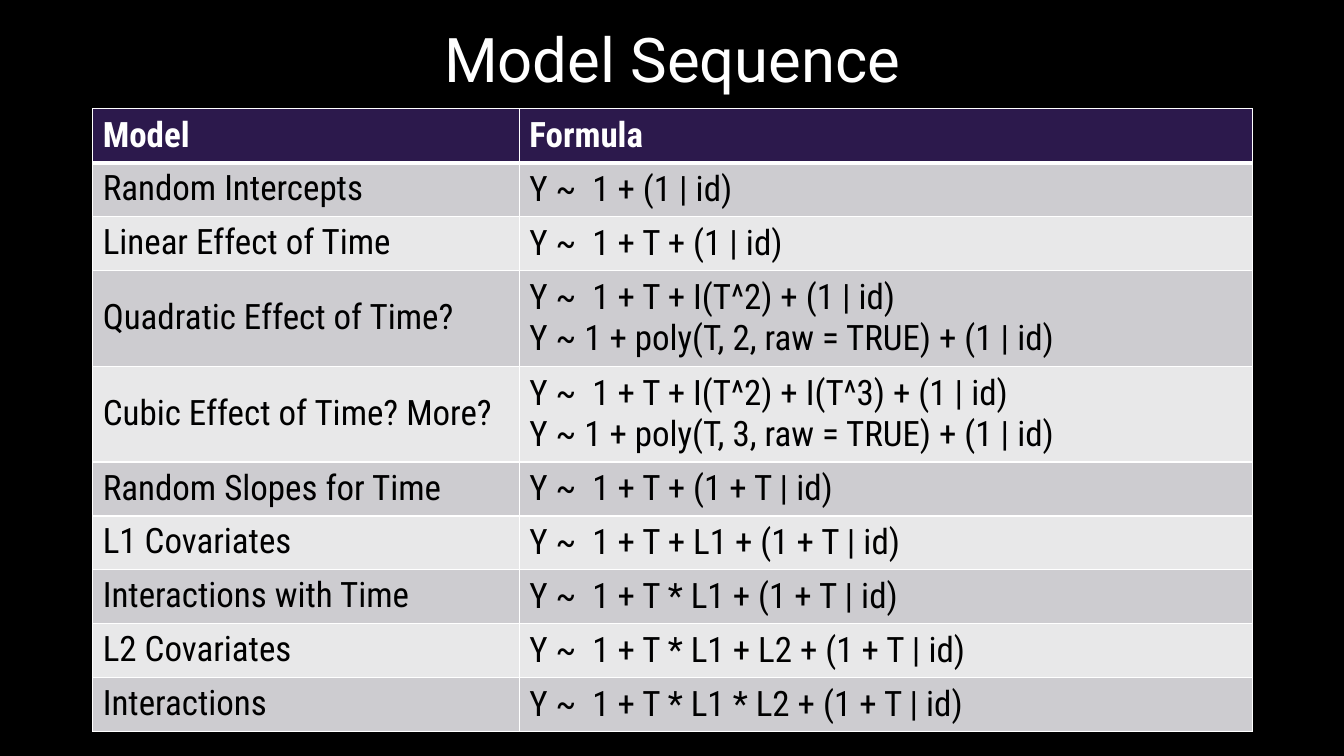
from lxml import etree
from pptx import Presentation
from pptx.dml.color import RGBColor
from pptx.enum.text import MSO_ANCHOR, PP_ALIGN
from pptx.oxml.ns import qn
from pptx.util import Inches, Pt

MIDDLE = MSO_ANCHOR.MIDDLE
CENTER = PP_ALIGN.CENTER
TITLE_ONLY = 5

COLORS = {
    "background": "000000",
    "title": "FFFFFF",
    "header": "2C194C",
    "header_text": "FFFFFF",
    "band_dark": "CDCCD0",
    "band_light": "E8E8E9",
    "body_text": "000000",
    "rule": "FFFFFF",
}
TITLE_FONT = {"name": "Roboto", "size": Pt(44), "bold": False}
HEADER_FONT = {"name": "Roboto Condensed", "size": Pt(25), "bold": True}
BODY_FONT = {**HEADER_FONT, "bold": False}

MODELS = [
    ("Model", "Formula"),
    ("Random Intercepts", "Y ~  1 + (1 | id)"),
    ("Linear Effect of Time", "Y ~  1 + T + (1 | id)"),
    ("Quadratic Effect of Time?",
     "Y ~  1 + T + I(T^2) + (1 | id)\nY ~ 1 + poly(T, 2, raw = TRUE) + (1 | id)"),
    ("Cubic Effect of Time? More?",
     "Y ~  1 + T + I(T^2) + I(T^3) + (1 | id)\nY ~ 1 + poly(T, 3, raw = TRUE) + (1 | id)"),
    ("Random Slopes for Time", "Y ~  1 + T + (1 + T | id)"),
    ("L1 Covariates", "Y ~  1 + T + L1 + (1 + T | id)"),
    ("Interactions with Time", "Y ~  1 + T * L1 + (1 + T | id)"),
    ("L2 Covariates", "Y ~  1 + T * L1 + L2 + (1 + T | id)"),
    ("Interactions", "Y ~  1 + T * L1 * L2 + (1 + T | id)"),
]
MODEL_WIDTH = 4.23
DOUBLE_HEIGHT = 0.95


def rgb(role):
    """Return the colour for a role."""
    return RGBColor.from_string(COLORS[role])


def format_font(font, values, role):
    """Apply a dict of font values and a colour."""
    for key, value in values.items():
        setattr(font, key, value)
    font.color.rgb = rgb(role)


def rule_cell(cell, widths):
    """Draw the four borders of a cell, with widths in points by side."""
    properties = cell._tc.get_or_add_tcPr()
    for side in "LRTB":
        line = etree.SubElement(properties, qn(f"a:ln{side}"), w=str(Pt(widths[side])))
        fill = etree.SubElement(line, qn("a:solidFill"))
        etree.SubElement(fill, qn("a:srgbClr"), val=COLORS["rule"])


def fill_cell(cell, text, row, column):
    """Write and style one cell by its place in the table."""
    header = row == 0
    rule_cell(cell, {"L": 1, "R": 1, "T": 3 if row == 1 else 1, "B": 3 if header else 1})
    band = "header" if header else "band_dark" if row % 2 else "band_light"
    cell.fill.solid()
    cell.fill.fore_color.rgb = rgb(band)
    cell.vertical_anchor = MIDDLE
    cell.text_frame.text = text
    for paragraph in cell.text_frame.paragraphs:
        if column == 0 and not header:
            paragraph.line_spacing = 0.9
        for run in paragraph.runs:
            format_font(run.font, HEADER_FONT if header else BODY_FONT,
                        "header_text" if header else "body_text")


def add_title(slide, text, left, top, width, height):
    """Place the centred slide title in its box."""
    title = slide.shapes.title
    title.left, title.top = Inches(left), Inches(top)
    title.width, title.height = Inches(width), Inches(height)
    title.text_frame.text = text
    title.text_frame.vertical_anchor = MIDDLE
    paragraph = title.text_frame.paragraphs[0]
    paragraph.alignment = CENTER
    paragraph.line_spacing = 0.9
    format_font(paragraph.runs[0].font, TITLE_FONT, "title")


def add_models(slide, models, left, top, width, height):
    """Fill the box with the table of models and formulas."""
    table = slide.shapes.add_table(len(models), 2, Inches(left), Inches(top),
                                   Inches(width), Inches(height)).table
    table.columns[0].width = Inches(MODEL_WIDTH)
    table.columns[1].width = Inches(width - MODEL_WIDTH)
    doubles = sum("\n" in formula for _, formula in models)
    single_height = (height - doubles * DOUBLE_HEIGHT) / (len(models) - doubles)
    for row, texts in enumerate(models):
        row_height = DOUBLE_HEIGHT if "\n" in texts[1] else single_height
        table.rows[row].height = Inches(row_height)
        for column, text in enumerate(texts):
            fill_cell(table.cell(row, column), text, row, column)


def main():
    """Build and save the presentation."""
    deck = Presentation()
    deck.slide_width, deck.slide_height = Inches(13.33), Inches(7.5)
    slide = deck.slides.add_slide(deck.slide_layouts[TITLE_ONLY])
    slide.background.fill.solid()
    slide.background.fill.fore_color.rgb = rgb("background")
    add_title(slide, "Model Sequence", 0.92, 0, 11.5, 1.25)
    add_models(slide, MODELS, 0.92, 1.08, 11.5, 6.18)
    deck.save("out.pptx")


if __name__ == "__main__":
    main()
